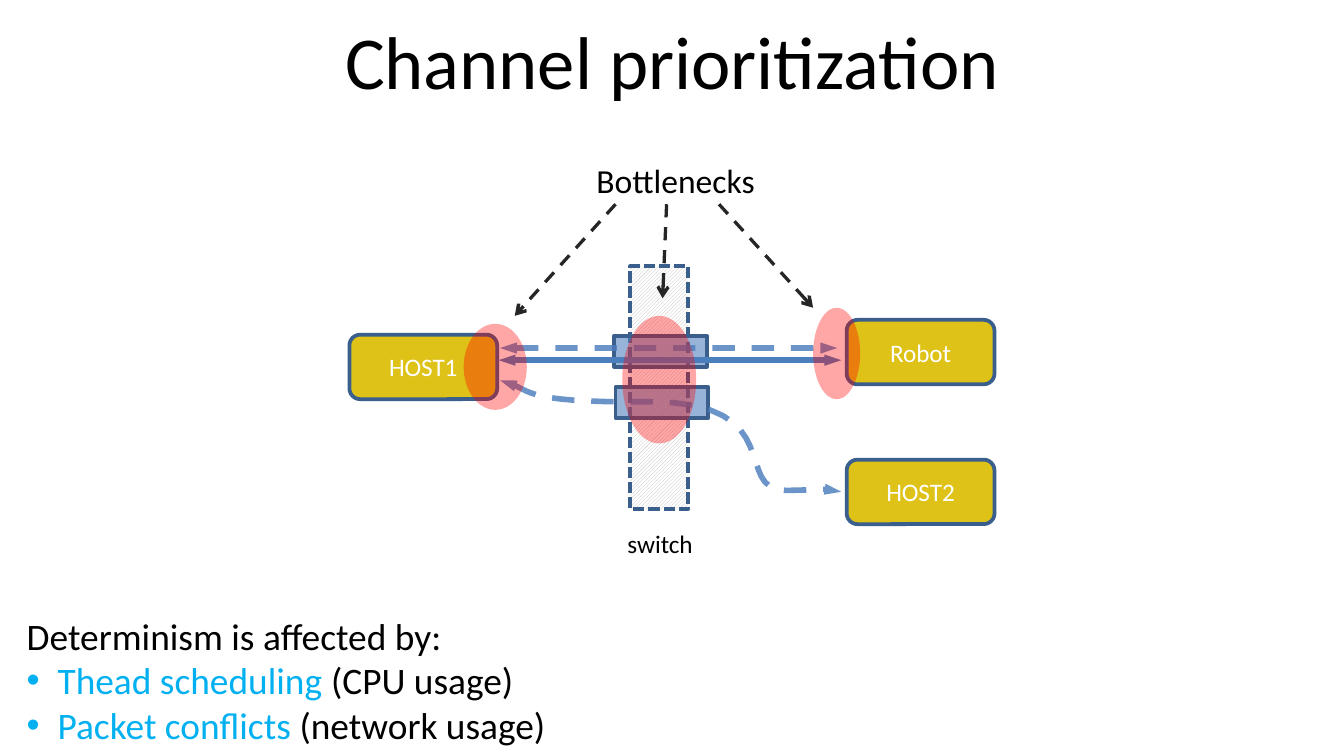
"""Build the slide on channel prioritization and its bottlenecks."""
import dataclasses

import lxml.etree
import pptx
import pptx.dml.color
import pptx.enum.dml
import pptx.enum.shapes
import pptx.enum.text
import pptx.oxml.ns
import pptx.util

Inches = pptx.util.Inches
Kind = pptx.enum.shapes.MSO_SHAPE
Dash = pptx.enum.dml.MSO_LINE
Align = pptx.enum.text.PP_ALIGN
Anchor = pptx.enum.text.MSO_ANCHOR


@dataclasses.dataclass(frozen=True)
class Theme:
    """Hold the colours, font and type sizes."""
    font: str = "Calibri"
    black: str = "000000"
    white: str = "FFFFFF"
    gold: str = "DEC218"
    edge: str = "3A5F8C"
    port: str = "4F81BD"
    link: str = "4B7EBC"
    alert: str = "FF0000"
    arrow: str = "262626"
    hatch: str = "BFBFBF"
    cyan: str = "00B0F0"
    title: float = 40
    body: float = 20
    label: float = 18
    small: float = 13.5


THEME = Theme()


def rgb(code):
    """Turn a hex code into a colour."""
    return pptx.dml.color.RGBColor.from_string(code)


def add(parent, tag, **attrs):
    """Append a drawing element to its parent."""
    node = lxml.etree.SubElement(parent, pptx.oxml.ns.qn(tag))
    for key, value in attrs.items():
        node.set(key, str(value))
    return node


def fade(shape, part, alpha):
    """Set the opacity in percent of a shape's fill or line."""
    query = {"fill": "a:solidFill/a:srgbClr", "line": "a:ln/a:solidFill/a:srgbClr"}
    add(shape._element.spPr.xpath(query[part])[0], "a:alpha", val=alpha * 1000)


def stroke(shape, color, width, dash=None, alpha=None, head=None, tail=None):
    """Style an outline or a line with its arrowheads."""
    line = shape.line
    line.fill.solid()
    line.fill.fore_color.rgb = rgb(color)
    line.width = pptx.util.Pt(width)
    if dash:
        line.dash_style = dash
    if alpha:
        fade(shape, "line", alpha)
    for tag, end in (("a:headEnd", head), ("a:tailEnd", tail)):
        if end:
            add(line._get_or_add_ln(), tag, **end)


def write(frame, paras, size, color=THEME.black, align=Align.LEFT, anchor=Anchor.TOP, wrap=True):
    """Fill a frame with paragraphs, each a string or a bullet's colored runs."""
    frame.word_wrap = wrap
    frame.vertical_anchor = anchor
    for i, text in enumerate(paras):
        para = frame.paragraphs[0] if i == 0 else frame.add_paragraph()
        para.alignment = align
        if isinstance(text, str):
            text = [(text, color)]
        else:
            props = para._p.get_or_add_pPr()
            props.set("marL", str(Inches(0.23)))
            props.set("indent", str(-Inches(0.23)))
            add(props, "a:buFont", typeface="Arial")
            add(props, "a:buChar", char="•")
        for words, tint in text:
            run = para.add_run()
            run.text = words
            run.font.name = THEME.font
            run.font.size = pptx.util.Pt(size)
            run.font.color.rgb = rgb(tint)


def text(pane, box, paras, size, **form):
    """Add a text box."""
    shape = pane.add_textbox(*map(Inches, box))
    write(shape.text_frame, paras, size, **form)


def block(pane, kind, box, fill, alpha=None):
    """Add a filled preset shape without an outline."""
    shape = pane.add_shape(kind, *map(Inches, box))
    shape.shadow.inherit = False
    shape.fill.solid()
    shape.fill.fore_color.rgb = rgb(fill)
    shape.line.fill.background()
    if alpha:
        fade(shape, "fill", alpha)
    return shape


def host(pane, left, top, name):
    """Add a named network node."""
    shape = block(pane, Kind.ROUNDED_RECTANGLE, (left, top, 1.1, 0.48), THEME.gold)
    stroke(shape, THEME.edge, 2)
    write(shape.text_frame, [name], THEME.small, color=THEME.white,
          align=Align.CENTER, anchor=Anchor.MIDDLE)


def port(pane, left, top):
    """Add a see-through switch port."""
    shape = block(pane, Kind.RECTANGLE, (left, top, 0.69, 0.23), THEME.port, 59)
    stroke(shape, THEME.edge, 2)


def switch(pane):
    """Add the hatched switch."""
    shape = block(pane, Kind.RECTANGLE, (4.69, 1.98, 0.43, 1.81), THEME.white)
    shape.fill.patterned()
    shape.fill.pattern = pptx.enum.dml.MSO_PATTERN.DARK_UPWARD_DIAGONAL
    shape.fill.fore_color.rgb = rgb(THEME.hatch)
    shape.fill.back_color.rgb = rgb(THEME.white)
    stroke(shape, THEME.edge, 2, Dash.SQUARE_DOT)


def wire(pane, start, end, color, width, **form):
    """Add a straight line."""
    kind = pptx.enum.shapes.MSO_CONNECTOR.STRAIGHT
    line = pane.add_connector(kind, *map(Inches, start + end))
    add(line._element.spPr, "a:effectLst")
    stroke(line, color, width, **form)


def curve(pane, start, bends, color, width, steps=16, **form):
    """Add an open outline along cubic curves."""
    points = [start]
    for one, two, end in bends:
        first = points[-1]
        for i in range(1, steps + 1):
            t = i / steps
            u = 1 - t
            points.append(tuple(
                u**3 * a + 3 * u * u * t * b + 3 * u * t * t * c + t**3 * d
                for a, b, c, d in zip(first, one, two, end)))
    spots = [(Inches(x), Inches(y)) for x, y in points]
    maker = pane.build_freeform(*spots[0])
    maker.add_line_segments(spots[1:], close=False)
    shape = maker.convert_to_shape()
    shape.shadow.inherit = False
    shape.fill.background()
    stroke(shape, color, width, **form)


def main():
    """Build and save the slide."""
    deck = pptx.Presentation()
    deck.slide_width = Inches(10)
    deck.slide_height = deck.slide_width * 9 // 16
    pane = deck.slides.add_slide(deck.slide_layouts[6]).shapes
    slim = {"type": "triangle", "w": "sm", "len": "med"}
    ends = {"head": slim, "tail": slim}
    faint = {"dash": Dash.DASH, "alpha": 81, **ends}

    host(pane, 2.6, 2.49, "HOST1")
    host(pane, 6.3, 2.38, "Robot")
    switch(pane)
    port(pane, 4.57, 2.5)
    text(pane, (4.57, 3.88, 0.69, 0.33), ["switch"], THEME.small, wrap=False)
    wire(pane, (3.71, 2.68), (6.26, 2.68), THEME.link, 3, **ends)
    wire(pane, (3.72, 2.59), (6.23, 2.59), THEME.link, 3, **faint)
    host(pane, 6.3, 3.42, "HOST2")
    port(pane, 4.58, 2.88)
    curve(pane, (3.72, 2.83), [
        ((3.98, 2.89), (3.8, 3), (4.84, 2.99)),
        ((5.88, 2.99), (5.44, 3.65), (5.85, 3.65)),
        ((6.3, 3.64), (6.22, 3.63), (6.26, 3.66)),
    ], THEME.link, 3, **faint)

    text(pane, (0, 0.06, 10, 0.94), ["Channel prioritization"], THEME.title, align=Align.CENTER)
    text(pane, (0.1, 4.51, 4.11, 1.11), [
        "Determinism is affected by:",
        [("Thead scheduling ", THEME.cyan), ("(CPU usage)", THEME.black)],
        [("Packet conflicts ", THEME.cyan), ("(network usage)", THEME.black)],
    ], THEME.body, wrap=False)

    group = pane.add_group_shape().shapes
    text(group, (4.34, 1.14, 1.4, 0.4), ["Bottlenecks"], THEME.label, wrap=False)
    for box in ((3.45, 2.41, 0.47, 0.64), (4.63, 2.35, 0.55, 0.95), (6.05, 2.29, 0.35, 0.68)):
        block(group, Kind.OVAL, box, THEME.alert, 35)
    for left, end in ((4.58, (3.83, 2.35)), (5.35, (6.05, 2.29)), (4.96, (4.93, 2.22))):
        wire(group, (left, 1.52), end, THEME.arrow, 1.75,
             dash=Dash.DASH, tail={"type": "arrow"})
    deck.save("out.pptx")


if __name__ == "__main__":
    main()
